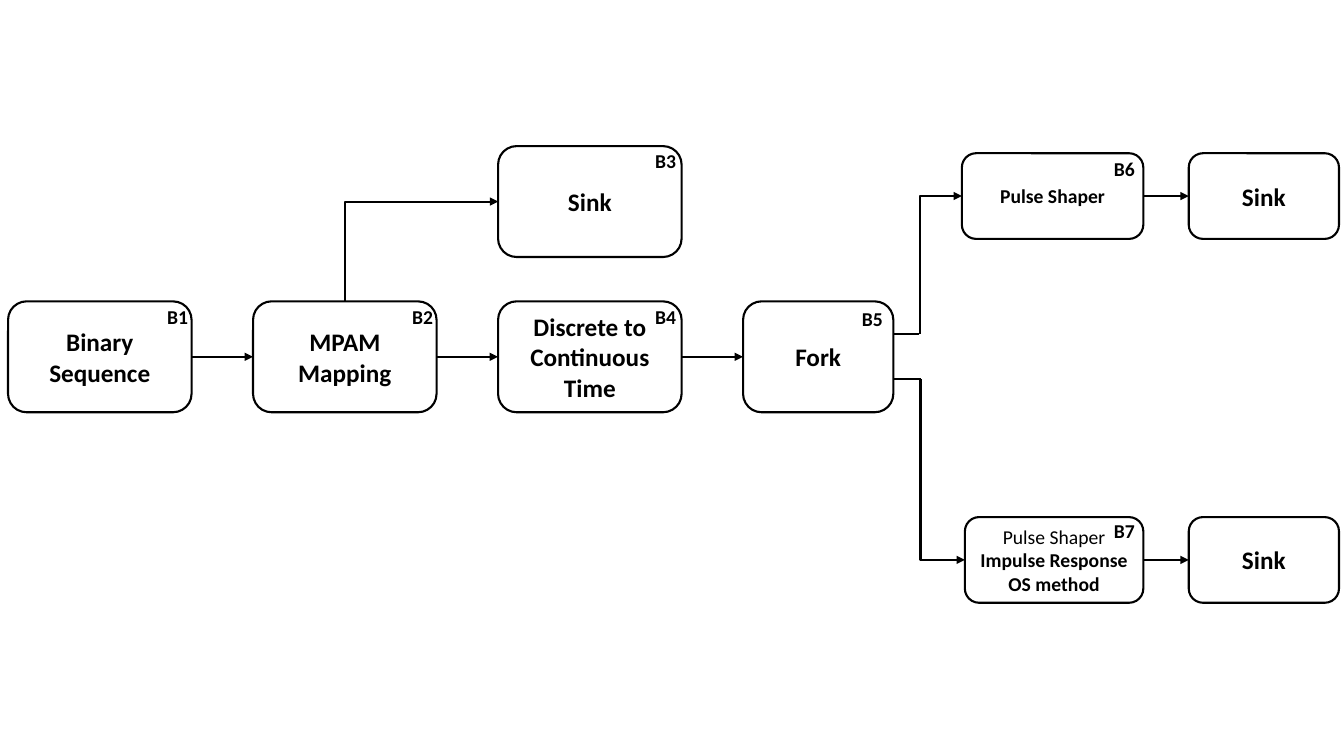
import math

import pptx
import pptx.dml.color
import pptx.enum.shapes
import pptx.enum.text
import pptx.oxml.ns
import pptx.util
from pptx.util import Inches

BLACK = pptx.dml.color.RGBColor(0, 0, 0)
WHITE = pptx.dml.color.RGBColor(255, 255, 255)
FONT = "Calibri"
LINE_WIDTH = pptx.util.Pt(1.5)
TOP, LEFT, BOTTOM, RIGHT = range(4)

CHAIN_LEFT, CHAIN_TOP, CHAIN_STEP = 0.08, 2.99, 2.43
CHAIN_WIDTH, CHAIN_HEIGHT = 1.82, 1.1
END_WIDTH, BRANCH_HEIGHT = 1.49, 0.85


def add_run(paragraph, text, size, bold=True):
    run = paragraph.add_run()
    run.text = text
    run.font.name = FONT
    run.font.size = pptx.util.Pt(size)
    run.font.bold = bold
    run.font.color.rgb = BLACK


def add_block(slide, box, lines, size=18, plain_lines=()):
    """Add a rounded block; the lines whose index is in plain_lines are not bold."""
    block = slide.shapes.add_shape(
        pptx.enum.shapes.MSO_SHAPE.ROUNDED_RECTANGLE, *map(Inches, box))
    block.shadow.inherit = False
    block.fill.solid()
    block.fill.fore_color.rgb = WHITE
    block.line.color.rgb = BLACK
    block.line.width = LINE_WIDTH
    frame = block.text_frame
    frame.vertical_anchor = pptx.enum.text.MSO_ANCHOR.MIDDLE
    for index, line in enumerate(lines):
        paragraph = frame.add_paragraph() if index else frame.paragraphs[0]
        paragraph.alignment = pptx.enum.text.PP_ALIGN.CENTER
        add_run(paragraph, line, size, bold=index not in plain_lines)
    return block


def add_tag(slide, box, name, inset, drop=-0.01):
    """Write the block's number, starting inset inches before its right edge."""
    left, top, width, _ = box
    tag = slide.shapes.add_textbox(
        Inches(left + width - inset), Inches(top + drop), Inches(0.43), Inches(0.34))
    tag.text_frame.word_wrap = True
    tag.text_frame.auto_size = pptx.enum.text.MSO_AUTO_SIZE.SHAPE_TO_FIT_TEXT
    add_run(tag.text_frame.paragraphs[0], name, 14)


def add_link(slide, start, end, kind=pptx.enum.shapes.MSO_CONNECTOR.STRAIGHT, arrow=True):
    link = slide.shapes.add_connector(kind, *map(Inches, (*start, *end)))
    link.line.color.rgb = BLACK
    link.line.width = LINE_WIDTH
    if arrow:
        outline = link.line._get_or_add_ln()
        outline.append(outline.makeelement(
            pptx.oxml.ns.qn("a:tailEnd"), {"type": "triangle"}))
    properties = link._element.spPr
    properties.append(properties.makeelement(pptx.oxml.ns.qn("a:effectLst"), {}))
    return link


def join(slide, source, target):
    link = add_link(slide, (0, 0), (1, 0))
    link.begin_connect(source, RIGHT)
    link.end_connect(target, LEFT)


def add_elbow(slide, start, end):
    """Go vertically from start, then right to end: a one-bend connector on its side."""
    (x0, y0), (x1, y1) = start, end
    middle_x, middle_y = (x0 + x1) / 2, (y0 + y1) / 2
    half_run = abs(y1 - y0) / 2
    half_rise = math.copysign((x1 - x0) / 2, y1 - y0)
    elbow = add_link(
        slide,
        (middle_x + half_run, middle_y - half_rise),
        (middle_x - half_run, middle_y + half_rise),
        pptx.enum.shapes.MSO_CONNECTOR.ELBOW)
    properties = elbow._element.spPr
    degrees = 90 if y1 < y0 else 270
    properties.find(pptx.oxml.ns.qn("a:xfrm")).set("rot", str(degrees * 60000))
    properties.find(pptx.oxml.ns.qn("a:prstGeom")).set("prst", "bentConnector2")


def add_chain(slide):
    stages = (
        (("Binary Sequence",), "B1", CHAIN_WIDTH, 0.34, -0.01),
        (("MPAM Mapping",), "B2", CHAIN_WIDTH, 0.34, -0.01),
        (("Discrete to", "Continuous", "Time"), "B4", CHAIN_WIDTH, 0.36, -0.01),
        (("Fork",), "B5", END_WIDTH, 0.41, 0.01),
    )
    previous = None
    for index, (lines, name, width, inset, drop) in enumerate(stages):
        box = (CHAIN_LEFT + index * CHAIN_STEP, CHAIN_TOP, width, CHAIN_HEIGHT)
        stage = add_block(slide, box, lines)
        if previous is not None:
            join(slide, previous, stage)
        add_tag(slide, box, name, inset, drop)
        previous = stage


def add_mapping_sink(slide, box):
    left, top, _, height = box
    add_block(slide, box, ("Sink",))
    mapping_middle = CHAIN_LEFT + CHAIN_STEP + CHAIN_WIDTH / 2
    add_elbow(slide, (mapping_middle, CHAIN_TOP), (left, top + height / 2))
    add_tag(slide, box, "B3", 0.36, -0.02)


def add_branch(slide, box, lines, name, drop, fork_exit, bend, plain_lines=()):
    """Add a pulse shaper fed from the fork at height fork_exit, and its sink."""
    left, top, _, height = box
    fork_right = CHAIN_LEFT + 3 * CHAIN_STEP + END_WIDTH
    shaper = add_block(slide, box, lines, 14, plain_lines)
    sink = add_block(slide, (11.79, top, END_WIDTH, height), ("Sink",))
    add_link(slide, (bend, fork_exit), (fork_right, fork_exit), arrow=False)
    add_elbow(slide, (bend, fork_exit), (left, top + height / 2))
    join(slide, shaper, sink)
    add_tag(slide, box, name, 0.39, drop)


def main():
    presentation = pptx.Presentation()
    presentation.slide_width = Inches(13.33)
    presentation.slide_height = Inches(7.5)
    slide = presentation.slides.add_slide(presentation.slide_layouts[6])
    add_chain(slide)
    add_mapping_sink(
        slide, (CHAIN_LEFT + 2 * CHAIN_STEP, 1.45, CHAIN_WIDTH, CHAIN_HEIGHT))
    add_branch(slide, (9.54, 1.52, 1.8, BRANCH_HEIGHT), ("Pulse Shaper",),
               "B6", -0.01, 3.31, 9.12)
    add_branch(slide, (9.57, 5.13, 1.77, BRANCH_HEIGHT),
               ("Pulse Shaper", "Impulse Response", "OS method"),
               "B7", -0.03, 3.76, 9.13, plain_lines=(0,))
    presentation.save("out.pptx")


if __name__ == "__main__":
    main()
